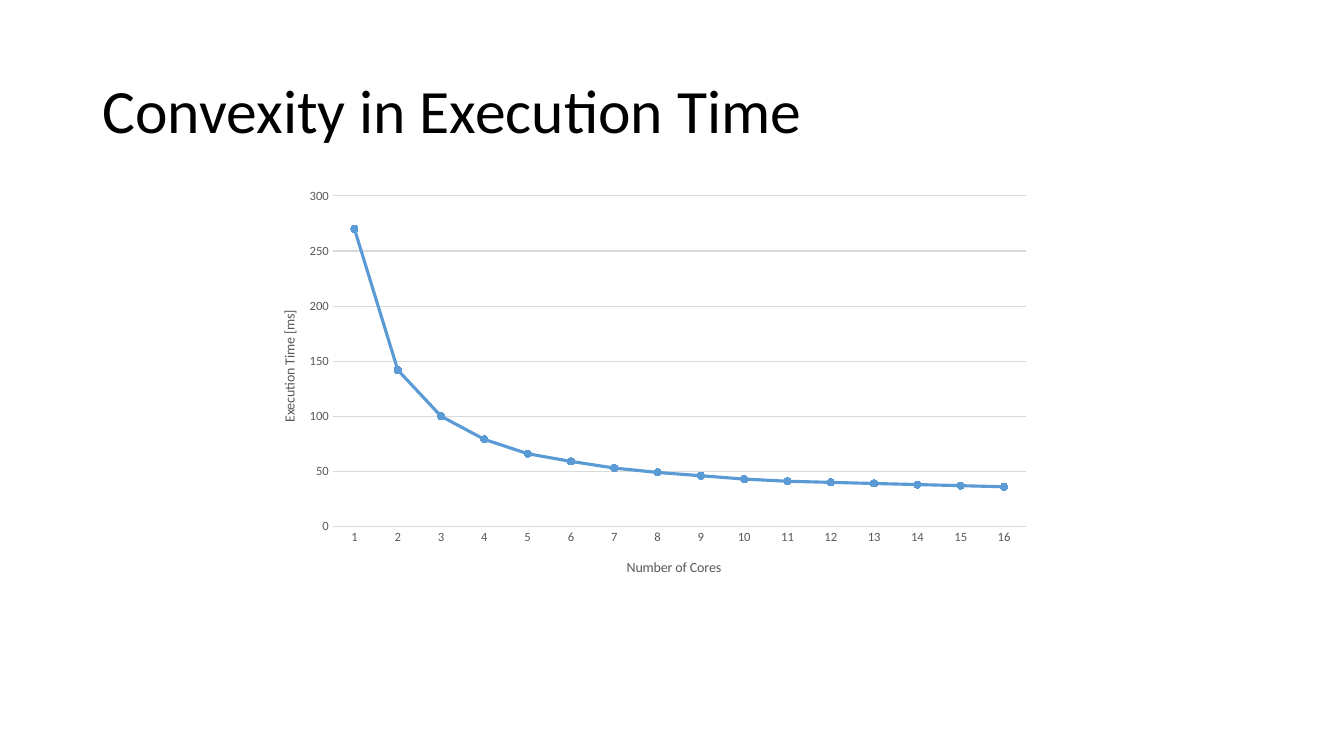
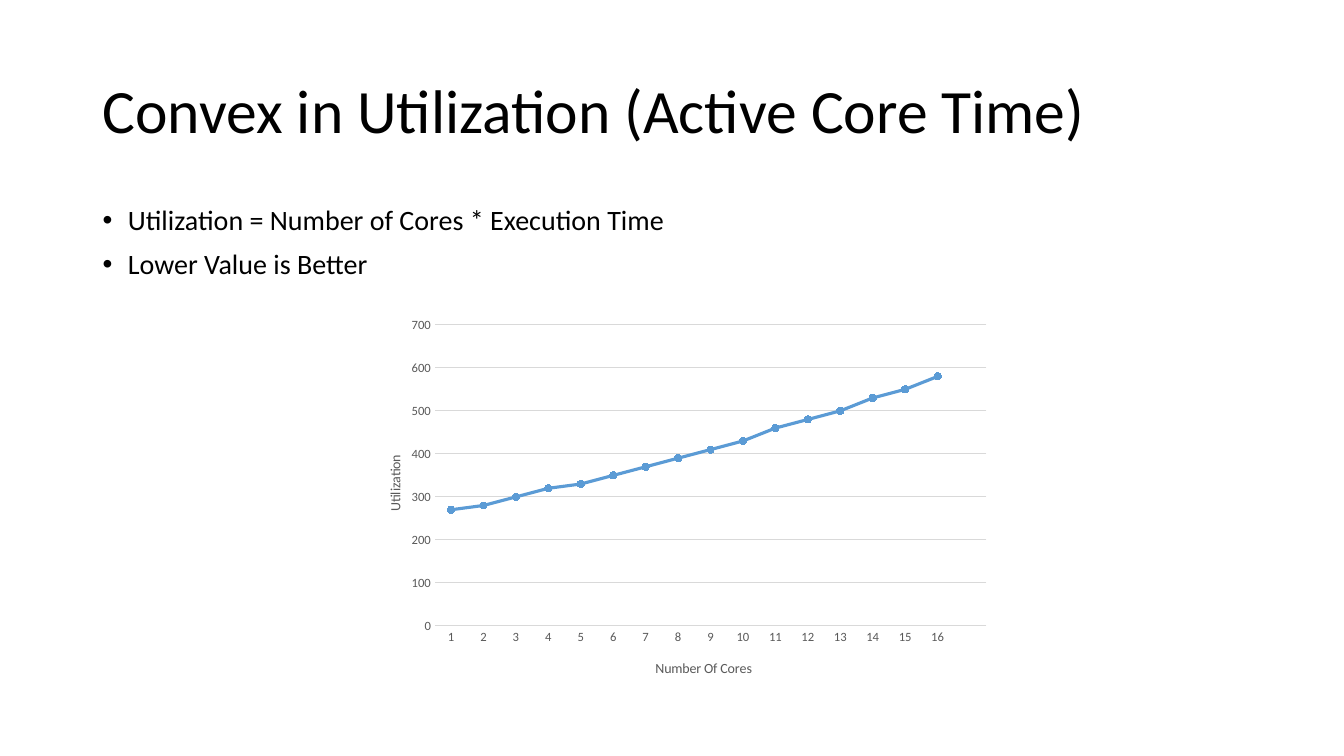
from lxml.etree import SubElement
from pptx import Presentation
from pptx.chart.data import CategoryChartData
from pptx.dml.color import RGBColor
from pptx.enum.chart import XL_CHART_TYPE, XL_MARKER_STYLE, XL_TICK_MARK
from pptx.enum.text import MSO_ANCHOR
from pptx.oxml.ns import qn
from pptx.util import Inches, Pt

FONT = "Calibri"
BLACK = RGBColor(0x00, 0x00, 0x00)
GRAY = RGBColor(0x59, 0x59, 0x59)
LIGHT_GRAY = RGBColor(0xD9, 0xD9, 0xD9)
BLUE = RGBColor(0x5B, 0x9B, 0xD5)

LEFT = Inches(0.92)
CONTENT_WIDTH = Inches(11.5)
CORES = [str(count) for count in range(1, 17)]
EXECUTION_TIMES = [270, 142, 100, 79, 66, 59, 53, 49,
                   46, 43, 41, 40, 39, 38, 37, 36]
UTILIZATIONS = [270, 280, 300, 320, 330, 350, 370, 390,
                410, 430, 460, 480, 500, 530, 550, 580]


def style_font(font, size, color):
    font.name = FONT
    font.size = Pt(size)
    font.bold = False
    font.color.rgb = color


# Text
def add_text_frame(slide, top, height):
    shape = slide.shapes.add_textbox(LEFT, Inches(top), CONTENT_WIDTH, Inches(height))
    shape.text_frame.word_wrap = True
    return shape.text_frame


def add_run(paragraph, text, size):
    paragraph.line_spacing = 0.9
    run = paragraph.add_run()
    run.text = text
    style_font(run.font, size, BLACK)


def add_title(slide, text):
    frame = add_text_frame(slide, 0.4, 1.45)
    frame.vertical_anchor = MSO_ANCHOR.MIDDLE
    add_run(frame.paragraphs[0], text, 44)


def add_bullets(slide, lines):
    frame = add_text_frame(slide, 2, 4.76)
    for index, line in enumerate(lines):
        paragraph = frame.add_paragraph() if index else frame.paragraphs[0]
        paragraph.space_before = Pt(10)
        add_run(paragraph, line, 20)
        properties = paragraph._p.get_or_add_pPr()
        properties.set("marL", str(Inches(0.25)))
        properties.set("indent", str(-Inches(0.25)))
        SubElement(properties, qn("a:buFont"), typeface="Arial")
        SubElement(properties, qn("a:buChar"), char="•")


# Chart
def set_layout(parent, position, **settings):
    """Place a chart part by fractions of the chart's size."""
    for old_layout in parent.findall(qn("c:layout")):
        parent.remove(old_layout)
    layout = SubElement(parent, qn("c:layout"))
    parent.insert(position, layout)
    manual = SubElement(layout, qn("c:manualLayout"))
    for name, value in settings.items():
        SubElement(manual, qn(f"c:{name}"), val=str(value))


def style_axis(axis, title, x, y):
    axis.major_tick_mark = axis.minor_tick_mark = XL_TICK_MARK.NONE
    style_font(axis.tick_labels.font, 9, GRAY)
    run = axis.axis_title.text_frame.paragraphs[0].add_run()
    run.text = title
    style_font(run.font, 10, GRAY)
    set_layout(axis.axis_title._element, 1, xMode="edge", yMode="edge", x=x, y=y)


def style_line(line, color, width):
    line.color.rgb = color
    line.width = Pt(width)


def add_line_chart(slide, kind, box, categories, values, scale, plot,
                   category_title, value_title):
    data = CategoryChartData()
    data.categories = categories
    data.add_series("Series 1", values)
    frame = slide.shapes.add_chart(kind, *map(Inches, box), data)
    chart = frame.chart
    chart.has_legend = False
    chart.has_title = False
    style_font(chart.font, 10, BLACK)

    style_axis(chart.category_axis, *category_title)
    style_line(chart.category_axis.format.line, LIGHT_GRAY, 0.75)
    value_axis = chart.value_axis
    style_axis(value_axis, *value_title)
    value_axis.format.line.fill.background()
    value_axis.minimum_scale = 0
    value_axis.maximum_scale, value_axis.major_unit = scale
    style_line(value_axis.major_gridlines.format.line, LIGHT_GRAY, 0.75)

    chart.plots[0].vary_by_categories = False
    series = chart.plots[0].series[0]
    series.smooth = False
    style_line(series.format.line, BLUE, 2.25)
    series.marker.style = XL_MARKER_STYLE.CIRCLE
    series.marker.size = 5
    series.marker.format.fill.solid()
    series.marker.format.fill.fore_color.rgb = BLUE
    style_line(series.marker.format.line, BLUE, 0.75)

    x, y, width, height = plot
    plot_area = chart._chartSpace.chart.plotArea
    set_layout(plot_area, 0, layoutTarget="inner", xMode="edge", yMode="edge",
               x=x, y=y, w=width, h=height)


def add_slide(presentation, title):
    slide = presentation.slides.add_slide(presentation.slide_layouts[6])
    add_title(slide, title)
    return slide


def main():
    presentation = Presentation()
    presentation.slide_width = Inches(13.33)
    presentation.slide_height = Inches(7.5)

    # Execution time
    slide = add_slide(presentation, "Convexity in Execution Time")
    add_line_chart(slide, XL_CHART_TYPE.LINE_MARKERS_STACKED,
                   (2.52, 1.78, 7.81, 4.1), CORES, EXECUTION_TIMES,
                   scale=(300, 50), plot=(0.1, 0.04, 0.88, 0.8),
                   category_title=("Number of Cores", 0.47, 0.91),
                   value_title=("Execution Time [ms]", 0.03, 0.31))

    # Utilization, with an unlabelled slot after the last core count
    slide = add_slide(presentation, "Convex in Utilization (Active Core Time)")
    add_bullets(slide, ["Utilization = Number of Cores * Execution Time",
                        "Lower Value is Better"])
    add_line_chart(slide, XL_CHART_TYPE.LINE_MARKERS,
                   (3.55, 3.07, 6.36, 3.83), CORES + [""], UTILIZATIONS + [None],
                   scale=(700, 100), plot=(0.12, 0.04, 0.86, 0.78),
                   category_title=("Number Of Cores", 0.46, 0.9),
                   value_title=("Utilization", 0.04, 0.37))

    presentation.save("out.pptx")


main()
